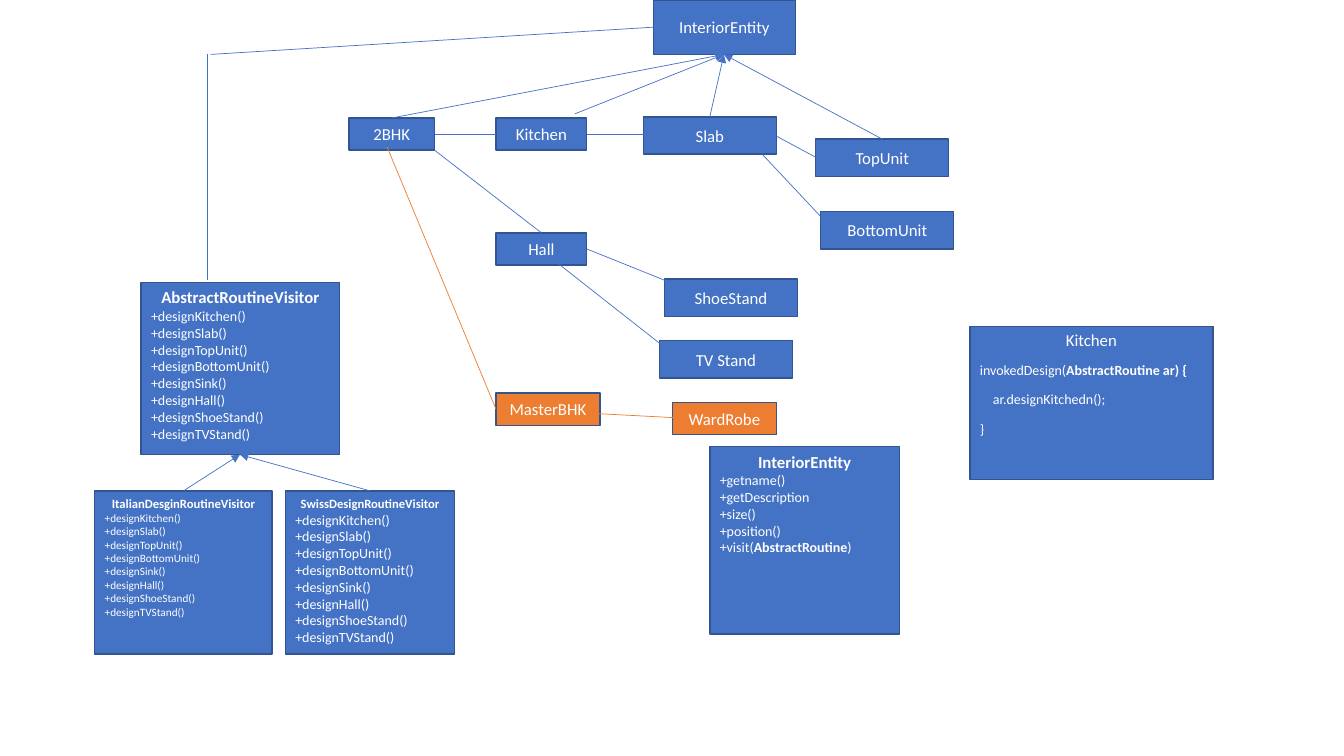
from lxml.etree import SubElement as Sub
from pptx import Presentation
from pptx.dml.color import RGBColor
from pptx.enum.shapes import MSO_CONNECTOR as Conn, MSO_SHAPE as Shape
from pptx.enum.text import MSO_ANCHOR as Anchor, PP_ALIGN as Align
from pptx.oxml.ns import qn
from pptx.util import Pt

PX = 9144  # EMU in one px, 100 px to the inch
BLUE = RGBColor(0x44, 0x72, 0xC4)
EDGE = RGBColor(0x32, 0x54, 0x91)
ORANGE = RGBColor(0xED, 0x7D, 0x31)
WHITE = RGBColor(0xFF, 0xFF, 0xFF)

# Single-name boxes: text, left, top, width, height, fill
NODES = [
    ("2BHK", 346, 117, 85, 32, BLUE),
    ("TopUnit", 809, 138, 132, 37, BLUE),
    ("BottomUnit", 814, 210, 132, 37, BLUE),
    ("Slab", 638, 116, 132, 37, BLUE),
    ("TV Stand", 654, 338, 132, 37, BLUE),
    ("ShoeStand", 659, 277, 132, 37, BLUE),
    ("Hall", 492, 231, 90, 32, BLUE),
    ("Kitchen", 492, 117, 90, 32, BLUE),
    ("InteriorEntity", 648, 0, 141, 54, BLUE),
    ("MasterBHK", 492, 390, 103, 32, ORANGE),
    ("WardRobe", 667, 399, 103, 32, ORANGE),
]

PARTS = ["Kitchen", "Slab", "TopUnit", "BottomUnit", "Sink", "Hall",
         "ShoeStand", "TVStand"]
DESIGN = [f"+design{part}()" for part in PARTS]
ENTITY = ["+getname()", "+getDescription", "+size()", "+position()",
          "+visit(*AbstractRoutine*)"]

# Class boxes: title, title size, members, member size, left, top, width, height
CLASSES = [
    ("AbstractRoutineVisitor", 12, DESIGN, 10, 140, 280, 197, 171),
    ("SwissDesignRoutineVisitor", 9, DESIGN, 10, 283, 487, 168, 162),
    ("ItalianDesginRoutineVisitor", 9, DESIGN, 8, 94, 487, 176, 162),
    ("InteriorEntity", 12, ENTITY, 10, 704, 443, 188, 186),
]

# Plain links: x1, y1, x2, y2
LINKS = [
    (431, 133, 492, 133), (582, 133, 667, 133), (431, 149, 537, 231),
    (582, 247, 679, 286), (553, 261, 656, 342), (770, 135, 809, 156),
    (756, 153, 832, 234), (648, 27, 209, 54), (206, 54, 206, 278),
]
MASTER = [(586, 410, 681, 415), (384, 146, 492, 406)]

# Arrow tips and the starts that lead to them
ARROWS = {
    (238, 451): [(182, 487), (367, 487)],
    (718, 54): [(389, 117), (570, 113), (704, 116), (875, 138)],
}


def box(slide, x, y, w, h, fill=BLUE, anchor=Anchor.TOP):
    shape = slide.shapes.add_shape(
        Shape.RECTANGLE, *(n * PX for n in (x, y, w, h)))
    shape.shadow.inherit = False
    shape.fill.solid()
    shape.fill.fore_color.rgb = fill
    shape.line.color.rgb = EDGE
    shape.line.width = Pt(1)
    frame = shape.text_frame
    frame.word_wrap = True
    frame.vertical_anchor = anchor
    return frame


def write(frame, text, size=12, bold=False, align=Align.LEFT,
          gap=0, lead=None, indent=0):
    """Add a paragraph; a * in the text switches bold on or off."""
    first = frame.paragraphs[0]
    para = first if not first.runs else frame.add_paragraph()
    para.alignment = align
    para.space_before = Pt(gap)
    if lead:
        para.line_spacing = lead
    if indent:
        para._p.get_or_add_pPr().set("marL", str(indent * PX))
    for i, piece in enumerate(text.split("*")):
        if piece:
            run = para.add_run()
            run.text = piece
            font = run.font
            font.name = "Calibri"
            font.size = Pt(size)
            font.bold = bold != (i % 2 == 1)
            font.color.rgb = WHITE


def node(slide, text, x, y, w, h, fill):
    frame = box(slide, x, y, w, h, fill, Anchor.MIDDLE)
    write(frame, text, align=Align.CENTER)


def table(slide, title, big, rows, small, *place):
    frame = box(slide, *place)
    write(frame, title, size=big, bold=True, align=Align.CENTER)
    for row in rows:
        write(frame, row, size=small)


def code(slide):
    frame = box(slide, 962, 324, 241, 152)
    style = {"gap": 10, "lead": 0.9}
    write(frame, "Kitchen", align=Align.CENTER, **style)
    write(frame, "invokedDesign(*AbstractRoutine ar) {*", size=10, **style)
    write(frame, "ar.designKitchedn();", size=10, indent=13, **style)
    write(frame, "}", size=10, **style)


def link(slide, x1, y1, x2, y2, color=BLUE, arrow=False):
    line = slide.shapes.add_connector(
        Conn.STRAIGHT, *(n * PX for n in (x1, y1, x2, y2)))
    line.line.color.rgb = color
    line.line.width = Pt(0.5)
    if arrow:
        Sub(line.line._get_or_add_ln(), qn("a:tailEnd"), type="triangle")
    Sub(line._element.spPr, qn("a:effectLst"))


def main():
    deck = Presentation()
    deck.slide_width, deck.slide_height = 1333 * PX, 750 * PX
    slide = deck.slides.add_slide(deck.slide_layouts[6])

    # Boxes
    for item in NODES:
        node(slide, *item)
    for item in CLASSES:
        table(slide, *item)
    code(slide)

    # Links and arrows
    for ends in LINKS:
        link(slide, *ends)
    for ends in MASTER:
        link(slide, *ends, color=ORANGE)
    for tip, starts in ARROWS.items():
        for start in starts:
            link(slide, *start, *tip, arrow=True)

    deck.save("out.pptx")


if __name__ == "__main__":
    main()
